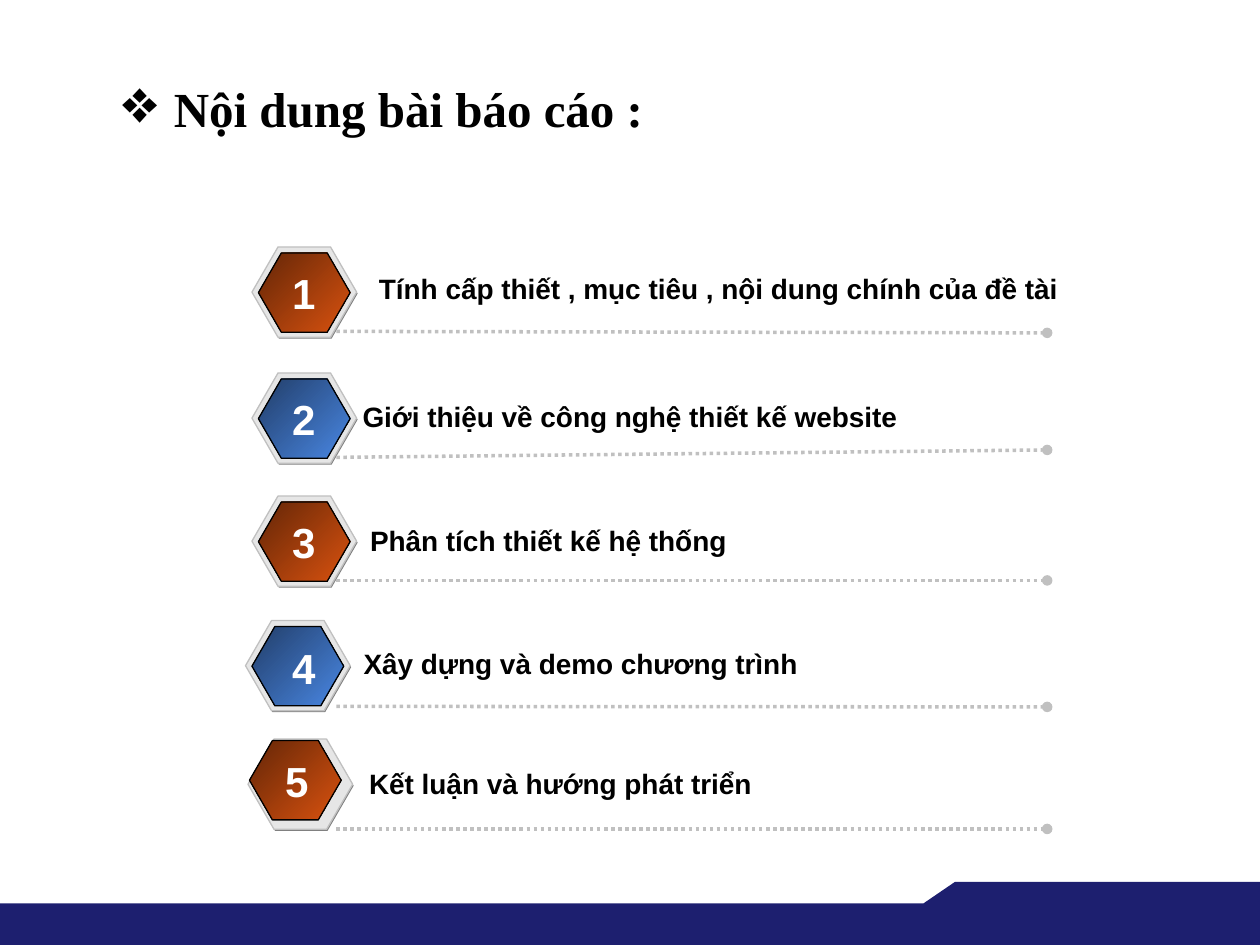
"""Build the report outline slide with five numbered hexagon entries."""
from dataclasses import dataclass

from lxml.etree import SubElement
from pptx import Presentation
from pptx.dml.color import RGBColor
from pptx.enum.dml import MSO_LINE
from pptx.enum.shapes import MSO_CONNECTOR, MSO_SHAPE
from pptx.enum.text import MSO_ANCHOR, MSO_AUTO_SIZE, PP_ALIGN
from pptx.oxml.ns import qn
from pptx.util import Cm, Pt

NAVY = RGBColor(0x1D, 0x1F, 0x6F)
BLACK = RGBColor(0x00, 0x00, 0x00)
WHITE = RGBColor(0xFF, 0xFF, 0xFF)
GREY = RGBColor(0x80, 0x80, 0x80)
SILVER = RGBColor(0xC0, 0xC0, 0xC0)
PALE = RGBColor(0xE6, 0xE6, 0xE6)
ORANGE = (RGBColor(0x64, 0x26, 0x07), RGBColor(0xD9, 0x52, 0x0F))
BLUE = (RGBColor(0x22, 0x3E, 0x69), RGBColor(0x49, 0x87, 0xE3))

PLATE_SIZE = (2.11, 1.82)
CORE_SIZE = (1.85, 1.6)
RULE_LEFT, RULE_RIGHT = 6.78, 21.11


@dataclass(frozen=True)
class Entry:
    """Text and placement in centimetres of one outline entry."""
    text: str
    plate: tuple[float, float]
    label: tuple[float, float, float]
    number: tuple[float, float]
    rule: tuple[float, float]
    inset: tuple[float, float] = (0.13, 0.12)


ENTRIES = (
    Entry("Tính cấp thiết , mục tiêu , nội dung chính của đề tài",
          (5.08, 4.98), (7.39, 5.35, 14.22), (5.64, 5.26), (6.68, 6.71)),
    Entry("Giới thiệu về công nghệ thiết kế website",
          (5.08, 7.52), (7.06, 7.92, 11.3), (5.64, 7.8), (9.22, 9.07)),
    Entry("Phân tích thiết kế hệ thống",
          (5.08, 10), (7.21, 10.42, 7.85), (5.64, 10.29), (11.7, 11.7)),
    Entry("Xây dựng và demo chương trình",
          (4.95, 12.51), (7.08, 12.9, 9.42), (5.64, 12.83), (14.24, 14.25)),
    Entry("Kết luận và hướng phát triển",
          (5.0, 14.9), (7.19, 15.32, 8.23), (5.5, 15.1), (16.71, 16.71), (0.03, 0.03)),
)


def add_text(page, text: str, place: tuple, size: float, color: RGBColor,
             font: str = "Arial", wrap: bool = False, align=PP_ALIGN.LEFT):
    """Add a text box holding one bold run and return it."""
    box = page.shapes.add_textbox(*map(Cm, place))
    box.text_frame.word_wrap = wrap
    if not wrap:
        box.text_frame.auto_size = MSO_AUTO_SIZE.SHAPE_TO_FIT_TEXT
    para = box.text_frame.paragraphs[0]
    para.alignment = align
    span = para.add_run()
    span.text = text
    span.font.name = font
    span.font.size = Pt(size)
    span.font.bold = True
    span.font.color.rgb = color
    return box


def add_title(page) -> None:
    """Add the bulleted heading."""
    box = add_text(page, " Nội dung bài báo cáo :", (2.22, 1.4, 21.68, 1.57), 28,
                   BLACK, "Times New Roman", True)
    box.text_frame.vertical_anchor = MSO_ANCHOR.MIDDLE
    properties = box.text_frame.paragraphs[0]._p.get_or_add_pPr()
    properties.set("marL", str(Cm(0.79)))
    properties.set("indent", str(-Cm(0.79)))
    SubElement(properties, qn("a:buSzPct")).set("val", "125000")
    SubElement(properties, qn("a:buChar")).set("char", "❖")


def add_hexagon(page, left: float, top: float, size: tuple[float, float],
                fill: RGBColor | tuple[RGBColor, RGBColor],
                line: RGBColor | None = None) -> None:
    """Add a hexagon with a solid or diagonal gradient fill."""
    shape = page.shapes.add_shape(MSO_SHAPE.HEXAGON, *map(Cm, (left, top, *size)))
    shape.shadow.inherit = False
    shape.adjustments[0] = 0.289
    if isinstance(fill, RGBColor):
        shape.fill.solid()
        shape.fill.fore_color.rgb = fill
    else:
        shape.fill.gradient()
        shape.fill.gradient_angle = 315
        for stop, color in zip(shape.fill.gradient_stops, fill):
            stop.color.rgb = color
    if line is None:
        shape.line.fill.background()
    else:
        shape.line.color.rgb = line
        shape.line.width = Pt(0.74)


def add_rule(page, start: float, end: float) -> None:
    """Add a dotted rule that ends in a round dot."""
    rule = page.shapes.add_connector(MSO_CONNECTOR.STRAIGHT, Cm(RULE_LEFT), Cm(start),
                                     Cm(RULE_RIGHT), Cm(end))
    rule.line.color.rgb = SILVER
    rule.line.width = Pt(2)
    rule.line.dash_style = MSO_LINE.ROUND_DOT
    SubElement(rule.line._get_or_add_ln(), qn("a:tailEnd")).set("type", "oval")
    SubElement(rule._element.spPr, qn("a:effectLst"))


def add_entry(page, number: int, entry: Entry) -> None:
    """Add the badge, rule and label of one entry."""
    left, top = entry.plate
    add_hexagon(page, left + 0.02, top + 0.03, PLATE_SIZE, GREY)
    add_hexagon(page, left, top, PLATE_SIZE, PALE, SILVER)
    add_hexagon(page, left + entry.inset[0], top + entry.inset[1], CORE_SIZE,
                ORANGE if number % 2 else BLUE, BLACK)
    add_rule(page, *entry.rule)
    add_text(page, entry.text, (*entry.label, 0.94), 16, BLACK)
    add_text(page, str(number), (*entry.number, 0.97, 1.27), 24, WHITE,
             align=PP_ALIGN.CENTER)


def add_footer(page) -> None:
    """Add the navy band with its raised right end."""
    band = page.shapes.add_shape(MSO_SHAPE.RECTANGLE, 0, Cm(18.21), Cm(25.4), Cm(0.84))
    outline = page.shapes.build_freeform(Cm(18.62), Cm(18.21))
    corners = ((19.25, 17.78), (25.4, 17.78), (25.4, 18.42), (18.62, 18.42))
    outline.add_line_segments([(Cm(x), Cm(y)) for x, y in corners])
    for shape in (band, outline.convert_to_shape()):
        shape.shadow.inherit = False
        shape.fill.solid()
        shape.fill.fore_color.rgb = NAVY
        shape.line.fill.background()


def main() -> None:
    """Build and save the deck."""
    deck = Presentation()
    deck.slide_width, deck.slide_height = Cm(25.4), Cm(19.05)
    page = deck.slides.add_slide(deck.slide_layouts[6])
    add_footer(page)
    add_title(page)
    for number, entry in enumerate(ENTRIES, 1):
        add_entry(page, number, entry)
    deck.save("out.pptx")


main()
